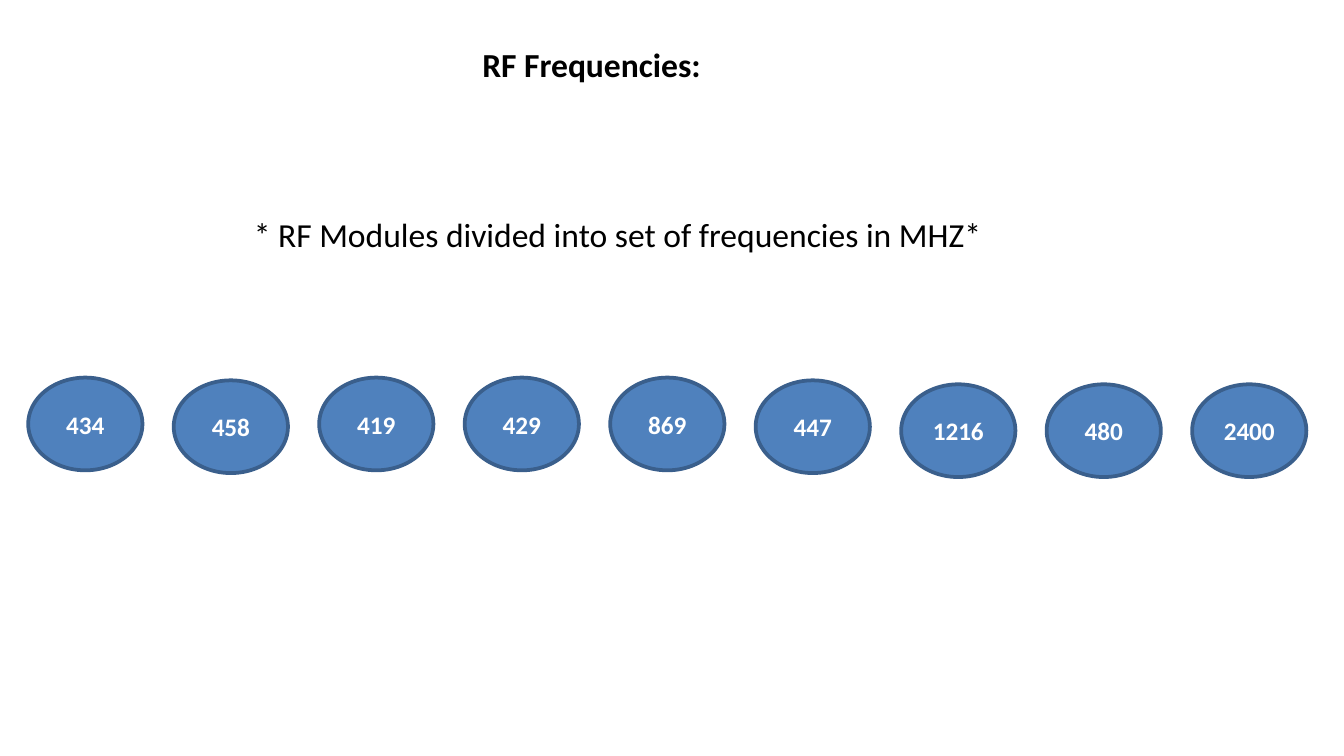
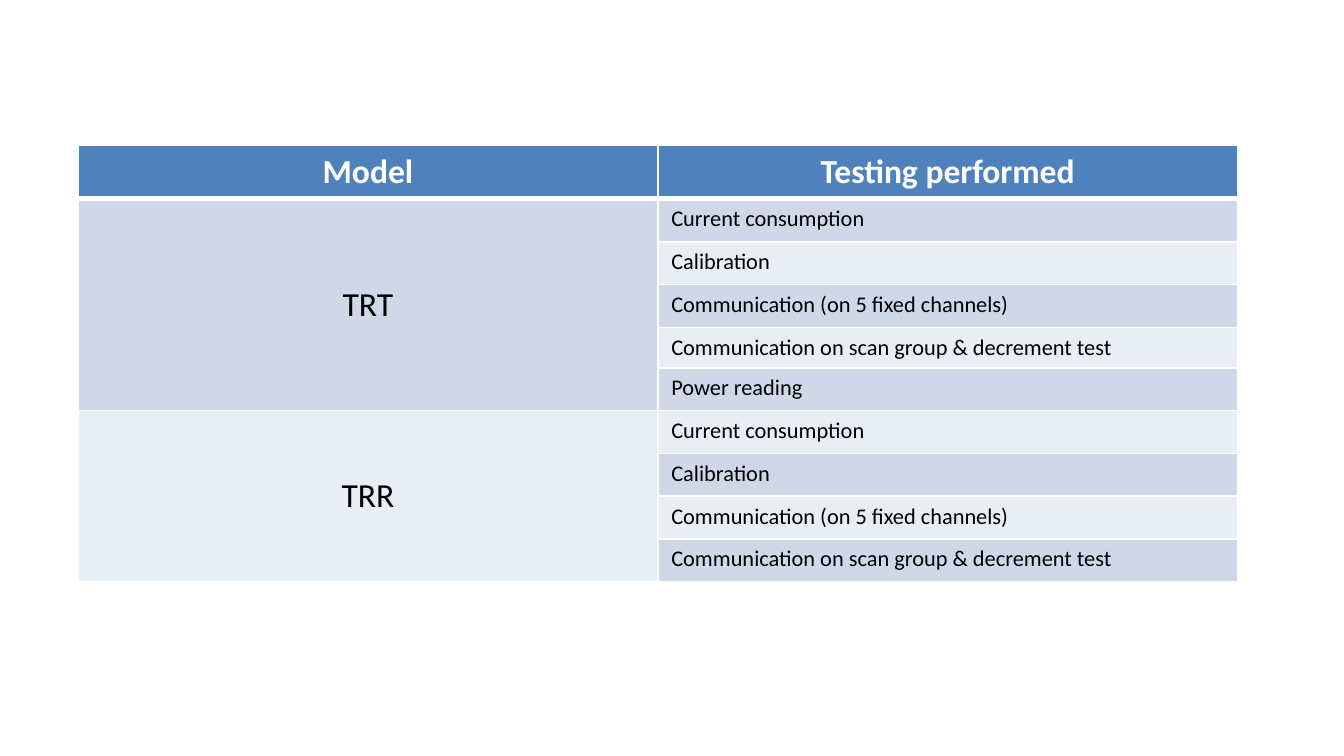
import pptx
import pptx.util
import pptx.dml.color
import pptx.enum.shapes
import pptx.enum.text
import pptx.oxml
import pptx.oxml.ns
from dataclasses import dataclass

Inches = pptx.util.Inches
Pt = pptx.util.Pt
RGB = pptx.dml.color.RGBColor.from_string
Align = pptx.enum.text.PP_ALIGN
Anchor = pptx.enum.text.MSO_ANCHOR


@dataclass(frozen=True)
class Theme:
    face: str = "Calibri"
    blue: str = "4F81BD"
    edge: str = "3A5F8C"
    bands: tuple = ("D0D8E8", "E9EDF4")
    white: str = "FFFFFF"
    black: str = "000000"
    large: float = 18
    label: float = 13.5
    small: float = 12


THEME = Theme()

NOTES = [
    ("RF Frequencies:", 3.49, 0.28, 1.9, True),
    ("* RF Modules divided into set of frequencies in MHZ*", 1.79, 1.54, 5.74, False),
]
BANDS = [
    ("434", 2.81), ("458", 2.83), ("419", 2.81),
    ("429", 2.81), ("869", 2.81), ("447", 2.83),
    ("1216", 2.86), ("480", 2.86), ("2400", 2.86),
]
FIRST, LAST = 0.21, 8.87

HEADS = ["Model", "Testing performed"]
TESTS = [
    "Current consumption",
    "Calibration",
    "Communication (on 5 fixed channels)",
    "Communication on scan group & decrement test",
]
MODELS = [("TRT", TESTS + ["Power reading"]), ("TRR", TESTS)]
TALL = 3.23
HEAD, THIN = 0.39, 0.29
ROW = (TALL - HEAD - THIN) / 8
ROWS = [HEAD] + [ROW] * 3 + [THIN] + [ROW] * 5


def write(frame, text, size, color, bold=False, align=Align.LEFT):
    para = frame.paragraphs[0]
    para.text = text
    para.alignment = align
    font = para.font
    font.name = THEME.face
    font.size = Pt(size)
    font.bold = bold
    font.color.rgb = RGB(color)


def add_note(slide, text, left, top, width, bold):
    box = slide.shapes.add_textbox(Inches(left), Inches(top), Inches(width), Inches(0.4))
    frame = box.text_frame
    frame.word_wrap = False
    frame.auto_size = pptx.enum.text.MSO_AUTO_SIZE.SHAPE_TO_FIT_TEXT
    write(frame, text, THEME.large, THEME.black, bold)


def add_oval(slide, text, left, top):
    oval = slide.shapes.add_shape(
        pptx.enum.shapes.MSO_SHAPE.OVAL,
        Inches(left), Inches(top), Inches(0.85), Inches(0.69))
    oval.shadow.inherit = False
    oval.fill.solid()
    oval.fill.fore_color.rgb = RGB(THEME.blue)
    oval.line.color.rgb = RGB(THEME.edge)
    oval.line.width = Pt(2)
    oval.text_frame.vertical_anchor = Anchor.MIDDLE
    write(oval.text_frame, text, THEME.label, THEME.white, True, Align.CENTER)


def paint(cell, row):
    props = cell._tc.get_or_add_tcPr()
    widths = {"L": 1, "R": 1, "T": 3 if row == 1 else 1, "B": 3 if row == 0 else 1}
    for side, width in widths.items():
        props.append(pptx.oxml.parse_xml(
            f'<a:ln{side} {pptx.oxml.ns.nsdecls("a")} w="{Pt(width)}">'
            f'<a:solidFill><a:srgbClr val="{THEME.white}"/></a:solidFill></a:ln{side}>'))
    cell.fill.solid()
    cell.fill.fore_color.rgb = RGB(THEME.bands[(row - 1) % 2] if row else THEME.blue)


def draw_bands(slide):
    step = (LAST - FIRST) / (len(BANDS) - 1)
    for i, (text, top) in enumerate(BANDS):
        add_oval(slide, text, FIRST + i * step, top)
    for note in NOTES:
        add_note(slide, *note)


def draw_tests(slide):
    table = slide.shapes.add_table(
        len(ROWS), len(HEADS), Inches(0.58), Inches(1.08),
        Inches(8.63), Inches(TALL)).table
    table.first_row = table.horz_banding = False
    for row, height in enumerate(ROWS):
        table.rows[row].height = Inches(height)
        for col in range(len(HEADS)):
            paint(table.cell(row, col), row)
    for col, head in enumerate(HEADS):
        write(table.cell(0, col).text_frame, head, THEME.large, THEME.white, True, Align.CENTER)
    row = 1
    for model, tests in MODELS:
        cell = table.cell(row, 0)
        cell.merge(table.cell(row + len(tests) - 1, 0))
        cell.vertical_anchor = Anchor.MIDDLE
        write(cell.text_frame, model, THEME.large, THEME.black, align=Align.CENTER)
        for test in tests:
            write(table.cell(row, 1).text_frame, test, THEME.small, THEME.black)
            row += 1


def main():
    deck = pptx.Presentation()
    deck.slide_width = Inches(10)
    deck.slide_height = deck.slide_width * 9 // 16
    for draw in (draw_bands, draw_tests):
        draw(deck.slides.add_slide(deck.slide_layouts[6]))
    deck.save("out.pptx")


if __name__ == "__main__":
    main()
